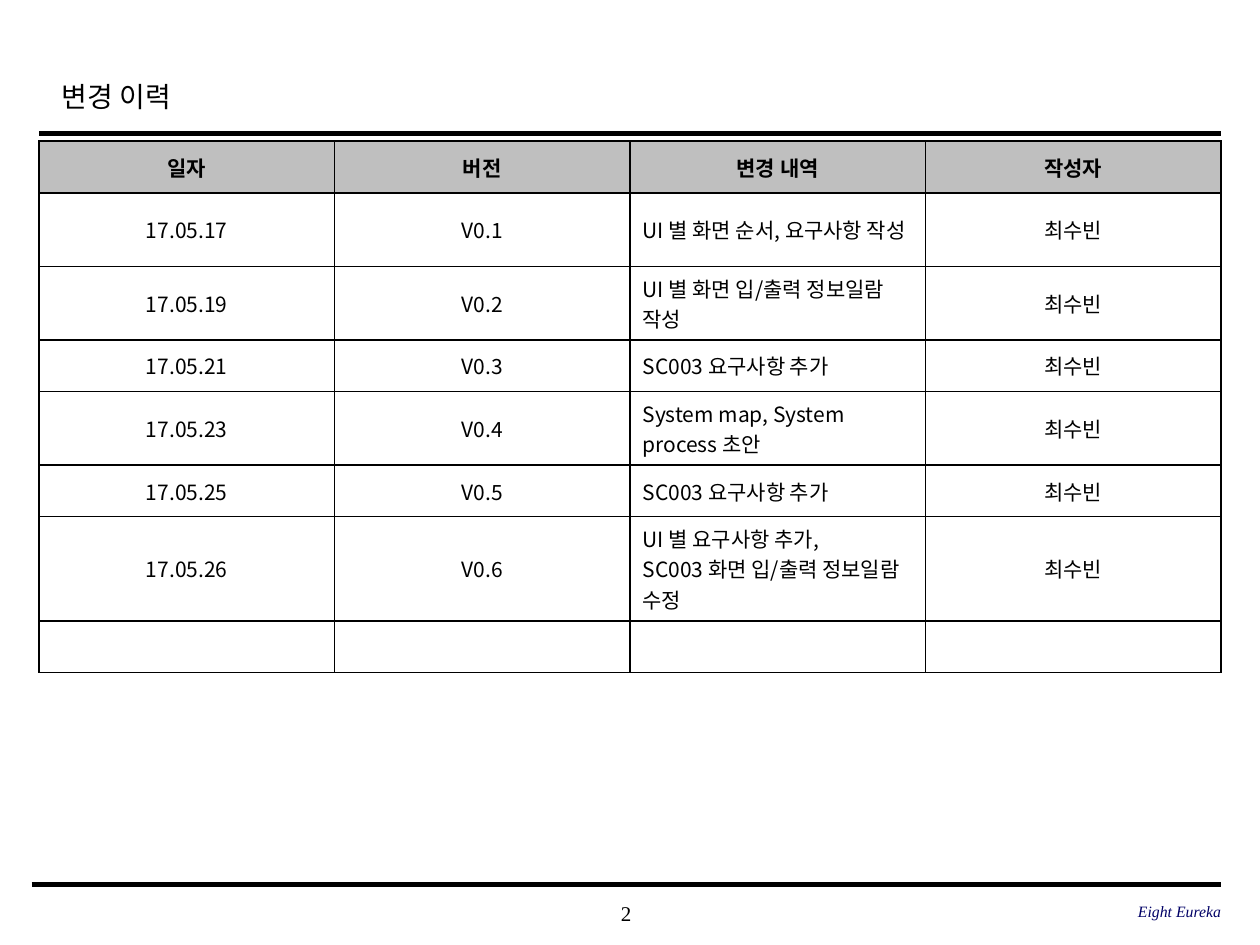
from lxml.etree import SubElement
from pptx import Presentation
from pptx.dml.color import RGBColor
from pptx.enum.shapes import MSO_CONNECTOR
from pptx.enum.text import MSO_ANCHOR, PP_ALIGN
from pptx.oxml.ns import qn
from pptx.util import Inches, Pt

W, H = 10, 7.5
LEFT, RIGHT = 0.31, 9.69
SERIF, SANS = "Times New Roman", "Noto Sans CJK KR"
BLACK, WHITE, GRAY, NAVY = "000000", "FFFFFF", "BFBFBF", "000066"

HEADER = ["일자", "버전", "변경 내역", "작성자"]
AUTHOR = "최수빈"
CHANGES = [
    ("17.05.17", "UI 별 화면 순서, 요구사항 작성"),
    ("17.05.19", "UI 별 화면 입/출력 정보일람 작성"),
    ("17.05.21", "SC003 요구사항 추가"),
    ("17.05.23", "System map, System process 초안"),
    ("17.05.25", "SC003 요구사항 추가"),
    ("17.05.26", "UI 별 요구사항 추가,\nSC003 화면 입/출력 정보일람 수정"),
]


def rgb(value):
    return RGBColor.from_string(value)


def write(tf, text, size=12, font=SANS, color=BLACK, bold=False, italic=False,
          align=PP_ALIGN.LEFT, spacing=None):
    """Fill a text frame, one paragraph for each line of text."""
    for i, line in enumerate(text.split("\n")):
        p = tf.add_paragraph() if i else tf.paragraphs[0]
        p.alignment = align
        if spacing:
            p.line_spacing = spacing
        r = p.add_run()
        r.text = line
        f = r.font
        f.size, f.name, f.bold, f.italic = Pt(size), font, bold, italic
        f.color.rgb = rgb(color)
        SubElement(r._r.get_or_add_rPr(), qn("a:ea"), typeface=SANS)


def add_rule(s, x1, x2, y, width):
    line = s.shapes.add_connector(MSO_CONNECTOR.STRAIGHT, Inches(x1), Inches(y),
                                  Inches(x2), Inches(y))
    line.line.color.rgb = rgb(BLACK)
    line.line.width = Pt(width)
    SubElement(line._element.spPr, qn("a:effectLst"))


def add_label(s, box, text, **style):
    tf = s.shapes.add_textbox(*map(Inches, box)).text_frame
    tf.margin_left = tf.margin_right = tf.margin_top = tf.margin_bottom = 0
    tf.vertical_anchor = MSO_ANCHOR.MIDDLE
    tf.word_wrap = True
    write(tf, text, **style)


def add_title(s, box, text):
    sp = s.shapes.title
    sp.left, sp.top, sp.width, sp.height = map(Inches, box)
    sp.text_frame.vertical_anchor = MSO_ANCHOR.MIDDLE
    write(sp.text_frame, text, size=16, font=SERIF, spacing=1.2)


def format_cell(cell, fill):
    cell.fill.solid()
    cell.fill.fore_color.rgb = rgb(fill)
    cell.vertical_anchor = MSO_ANCHOR.MIDDLE
    tcPr = cell._tc.get_or_add_tcPr()
    # Borders come before the fill in the cell properties
    for i, side in enumerate(("lnL", "lnR", "lnT", "lnB")):
        ln = SubElement(tcPr, qn(f"a:{side}"), w=str(Pt(1)))
        SubElement(SubElement(ln, qn("a:solidFill")), qn("a:srgbClr"), val=BLACK)
        tcPr.insert(i, ln)


def add_history(s, box, rows):
    x, y, width, row_height = box
    table = s.shapes.add_table(len(rows), len(HEADER), Inches(x), Inches(y),
                               Inches(width), Inches(row_height * len(rows))).table
    for col in table.columns:
        col.width = Inches(width / len(HEADER))
    for i, values in enumerate(rows):
        for j, value in enumerate(values):
            cell = table.cell(i, j)
            format_cell(cell, WHITE if i else GRAY)
            if value:
                left = i > 0 and j == 2
                write(cell.text_frame, value, bold=i == 0,
                      align=PP_ALIGN.LEFT if left else PP_ALIGN.CENTER)


def add_footer(s, box):
    x, y, width, height = box
    number_width, team_width = 2.08, 3.06
    add_rule(s, x, x + width, y, 3)
    add_label(s, (x + (width - number_width) / 2, y + 0.06, number_width, height),
              "2", font=SERIF, align=PP_ALIGN.CENTER)
    add_label(s, (x + width - team_width, y + 0.05, team_width, height),
              "Eight Eureka", size=9, font=SERIF, color=NAVY, italic=True,
              align=PP_ALIGN.RIGHT)


def main():
    prs = Presentation()
    prs.slide_width, prs.slide_height = Inches(W), Inches(H)
    s = prs.slides.add_slide(prs.slide_layouts[5])

    # Heading
    add_title(s, (0.39, 0.49, 7.55, 0.5), "변경 이력")
    add_rule(s, LEFT, RIGHT, 1.06, 2.5)

    # Change history, with one empty row at the end
    rows = [HEADER]
    rows += [(date, f"V0.{n}", change, AUTHOR)
             for n, (date, change) in enumerate(CHANGES, 1)]
    rows.append([""] * len(HEADER))
    add_history(s, (LEFT, 1.12, RIGHT - LEFT, 0.41), rows)

    # Footer
    add_footer(s, (0.25, 7.02, RIGHT - 0.25, 0.33))
    prs.save("out.pptx")


if __name__ == "__main__":
    main()
